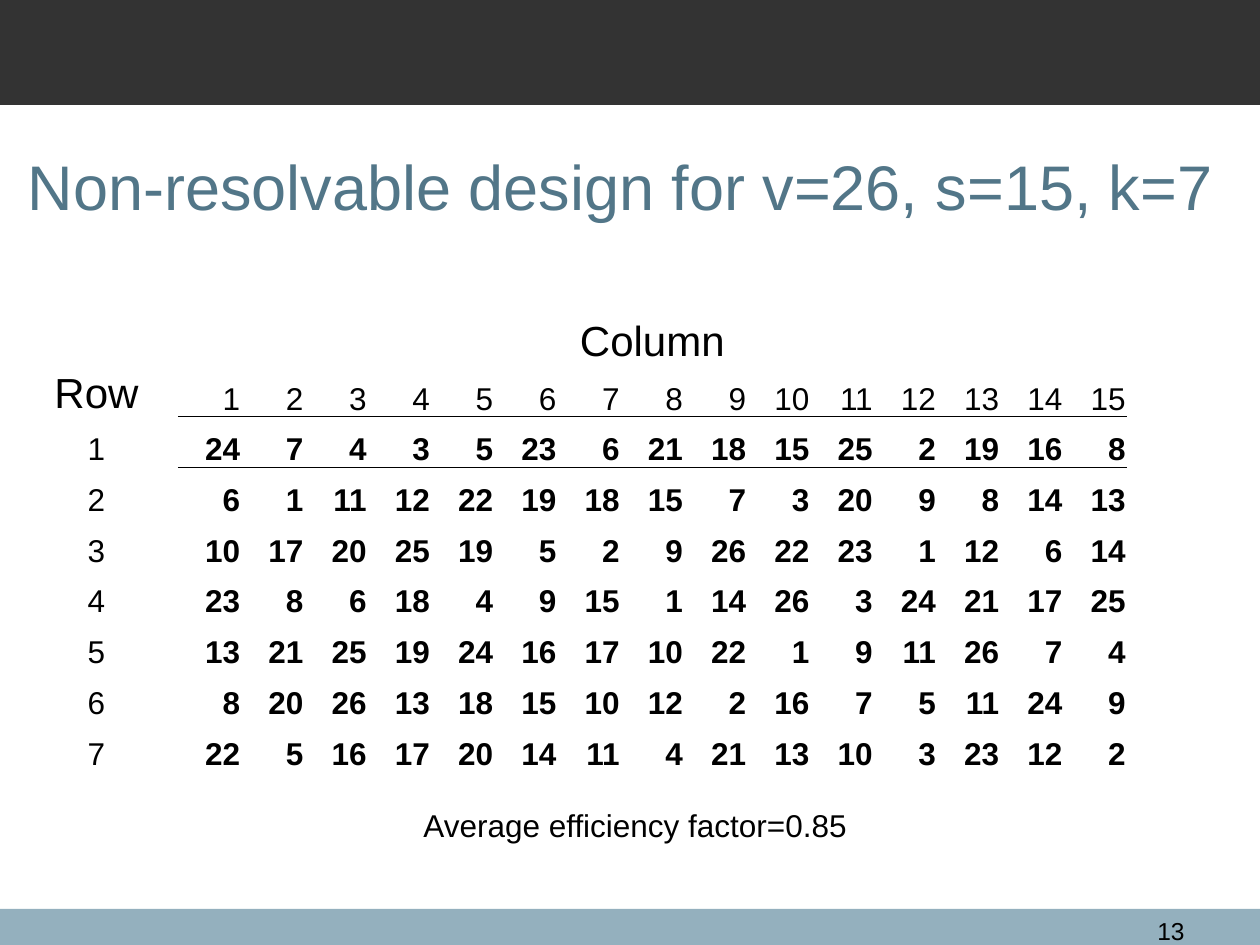
from pptx import Presentation
from pptx.dml.color import RGBColor
from pptx.enum.shapes import MSO_SHAPE
from pptx.enum.text import MSO_ANCHOR, MSO_AUTO_SIZE, PP_ALIGN
from pptx.oxml import parse_xml
from pptx.oxml.ns import nsdecls, qn
from pptx.util import Pt

EMU_PER_PX = 914400 / 126
PLAIN_TABLE_STYLE = "{2D5ABB26-0587-4C30-8999-92F81FD0307C}"

DESIGN = [
    [24, 7, 4, 3, 5, 23, 6, 21, 18, 15, 25, 2, 19, 16, 8],
    [6, 1, 11, 12, 22, 19, 18, 15, 7, 3, 20, 9, 8, 14, 13],
    [10, 17, 20, 25, 19, 5, 2, 9, 26, 22, 23, 1, 12, 6, 14],
    [23, 8, 6, 18, 4, 9, 15, 1, 14, 26, 3, 24, 21, 17, 25],
    [13, 21, 25, 19, 24, 16, 17, 10, 22, 1, 9, 11, 26, 7, 4],
    [8, 20, 26, 13, 18, 15, 10, 12, 2, 16, 7, 5, 11, 24, 9],
    [22, 5, 16, 17, 20, 14, 11, 4, 21, 13, 10, 3, 23, 12, 2],
]


def px(length):
    return round(length * EMU_PER_PX)


def color(hex_string):
    return RGBColor.from_string(hex_string)


class SlideBuilder:
    font = "Arial"
    ink = "000000"
    accent = "527688"

    def __init__(self, presentation):
        self.slide = presentation.slides.add_slide(presentation.slide_layouts[5])

    def set_text(self, text_frame, text, size, align, ink=None, bold=False):
        text_frame.text = text
        paragraph = text_frame.paragraphs[0]
        paragraph.alignment = align
        font = paragraph.runs[0].font
        font.name = self.font
        font.size = Pt(size)
        font.bold = bold
        font.color.rgb = color(ink or self.ink)

    def bar(self, left, top, width, height, fill):
        shape = self.slide.shapes.add_shape(
            MSO_SHAPE.RECTANGLE, px(left), px(top), px(width), px(height))
        shape.shadow.inherit = False
        shape.fill.solid()
        shape.fill.fore_color.rgb = color(fill)
        shape.line.fill.background()

    def title(self, text, left, top, width, height):
        shape = self.slide.shapes.title
        shape.left, shape.top = px(left), px(top)
        shape.width, shape.height = px(width), px(height)
        shape.text_frame.auto_size = MSO_AUTO_SIZE.NONE
        shape.text_frame.vertical_anchor = MSO_ANCHOR.MIDDLE
        self.set_text(shape.text_frame, text, 36, PP_ALIGN.LEFT, self.accent)

    def text(self, text, left, top, width, height, size, align=PP_ALIGN.LEFT, wrap=True):
        shape = self.slide.shapes.add_textbox(px(left), px(top), px(width), px(height))
        shape.text_frame.word_wrap = wrap
        self.set_text(shape.text_frame, text, size, align)

    def border(self, cell, side):
        line = parse_xml(
            f'<a:{side} {nsdecls("a")} w="{Pt(0.5)}"><a:solidFill>'
            f'<a:srgbClr val="{self.ink}"/></a:solidFill></a:{side}>')
        cell._tc.get_or_add_tcPr().insert(0, line)

    def empty_table(self, left, top, widths, heights):
        table = self.slide.shapes.add_table(
            len(heights), len(widths), px(left), px(top), sum(widths), sum(heights)).table
        table.first_row = table.horz_banding = False
        table._tbl.tblPr.find(qn("a:tableStyleId")).text = PLAIN_TABLE_STYLE
        for column, width in zip(table.columns, widths):
            column.width = width
        for row, height in zip(table.rows, heights):
            row.height = height
        for cell in table.iter_cells():
            cell.fill.background()
            cell.vertical_anchor = MSO_ANCHOR.BOTTOM
            cell.margin_left = cell.margin_right = cell.margin_top = px(1)
            cell.margin_bottom = 0
        return table

    def design_table(self, design, left, top):
        count = len(design[0])
        widths = [px(163)] + [px(949) // count] * count + [px(133)]
        heights = [px(507) // 10] * (len(design) + 3)
        table = self.empty_table(left, top, widths, heights)
        heading = table.cell(0, 1)
        heading.merge(table.cell(0, count))
        self.set_text(heading.text_frame, "Column", 24, PP_ALIGN.CENTER)
        self.set_text(table.cell(1, 0).text_frame, "Row", 24, PP_ALIGN.CENTER)
        for number in range(1, count + 1):
            cell = table.cell(1, number)
            self.set_text(cell.text_frame, str(number), 18, PP_ALIGN.RIGHT)
            self.border(cell, "lnB")
            self.border(table.cell(2, number), "lnT")
        for number, treatments in enumerate(design, 1):
            row = number + 1
            self.set_text(table.cell(row, 0).text_frame, str(number), 18, PP_ALIGN.CENTER)
            for column, treatment in enumerate(treatments, 1):
                self.set_text(table.cell(row, column).text_frame, str(treatment), 18,
                              PP_ALIGN.RIGHT, bold=True)


def main():
    presentation = Presentation()
    presentation.slide_width, presentation.slide_height = px(1260), px(945)
    builder = SlideBuilder(presentation)
    builder.bar(0, 909, 1260, 36, "94B0BE")
    builder.bar(0, 0, 1260, 105, "333333")
    builder.title("Non-resolvable design for v=26, s=15, k=7", 15, 106, 1221, 158)
    builder.text("13", 1116, 910, 81, 30, 14, PP_ALIGN.RIGHT)
    builder.design_table(DESIGN, 15, 314)
    builder.text("Average efficiency factor=0.85", 411, 800, 452, 50, 18, wrap=False)
    presentation.save("out.pptx")


if __name__ == "__main__":
    main()
